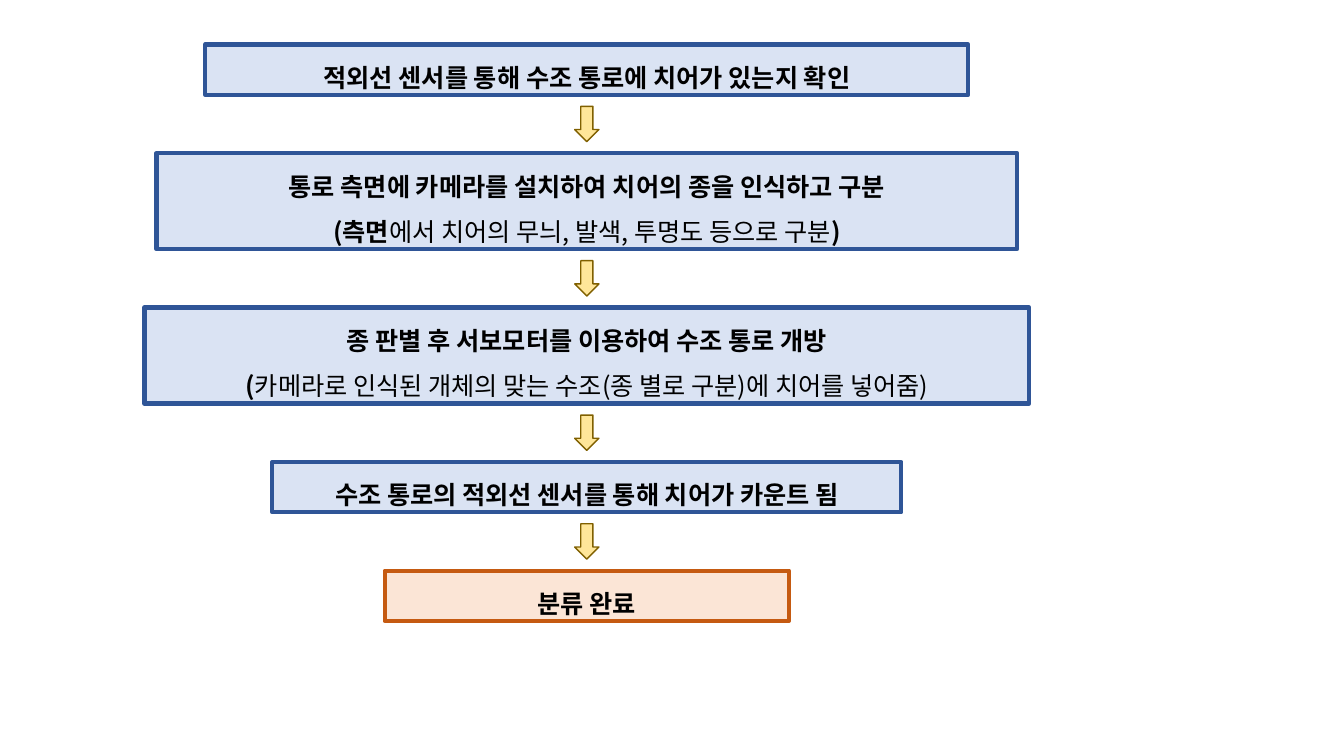
from typing import NamedTuple

from lxml import etree
from pptx import Presentation
from pptx.dml.color import RGBColor
from pptx.enum.shapes import MSO_SHAPE
from pptx.enum.text import MSO_ANCHOR, MSO_AUTO_SIZE, PP_ALIGN
from pptx.oxml.ns import qn
from pptx.util import Cm, Pt

RECT = MSO_SHAPE.RECTANGLE
ARROW = MSO_SHAPE.DOWN_ARROW
MIDDLE = MSO_ANCHOR.MIDDLE
GROW = MSO_AUTO_SIZE.SHAPE_TO_FIT_TEXT
CENTER = PP_ALIGN.CENTER

COLORS = {
    "text": "000000",
    "step": "DAE3F3", "step_line": "2F5597",
    "done": "FBE5D6", "done_line": "C55A11",
    "arrow": "FFE699", "arrow_line": "806000",
}
LATIN, KOREAN = "Arial", "Noto Sans CJK KR"

# Lengths in centimetres
AXIS, TOP, GAP = 14.79, 1.12, 1.47
HEIGHTS = {1: 1.27, 2: 2.42}
ARROW_W, ARROW_H = 0.61, 0.89


class Part(NamedTuple):
    text: str
    bold: bool = True
    font: str = KOREAN


class Step(NamedTuple):
    width: float
    title: str
    detail: tuple[Part, ...] = ()
    kind: str = "step"


STEPS = [
    Step(19.23, "적외선 센서를 통해 수조 통로에 치어가 있는지 확인"),
    Step(21.69, "통로 측면에 카메라를 설치하여 치어의 종을 인식하고 구분",
         (Part("(측면"),
          Part("에서 치어의 무늬, 발색, 투명도 등으로 구분", False),
          Part(")"))),
    Step(22.3, "종 판별 후 서보모터를 이용하여 수조 통로 개방",
         (Part("("),
          Part("카메라로 인식된 개체의 맞는 수조(종 별로 구분)에 치어를 넣어줌)",
               False))),
    Step(15.85, "수조 통로의 적외선 센서를 통해 치어가 카운트 됨"),
    Step(10.19, "분류 완료", kind="done"),
]


def add_block(slide, form, top: float, width: float, height: float,
              kind: str, line: float):
    """Add a filled shape centred on the flow axis."""
    block = slide.shapes.add_shape(
        form, Cm(AXIS - width / 2), Cm(top), Cm(width), Cm(height))
    block.shadow.inherit = False
    block.fill.solid()
    block.fill.fore_color.rgb = RGBColor.from_string(COLORS[kind])
    block.line.color.rgb = RGBColor.from_string(COLORS[kind + "_line"])
    block.line.width = Pt(line)
    return block


def add_line(para, parts: tuple[Part, ...]) -> None:
    para.alignment = CENTER
    para.line_spacing = 1.5
    for part in parts:
        run = para.add_run()
        run.text = part.text
        font = run.font
        font.name, font.size, font.bold = part.font, Pt(18), part.bold
        font.color.rgb = RGBColor.from_string(COLORS["text"])
        asian = etree.SubElement(run._r.get_or_add_rPr(), qn("a:ea"))
        asian.set("typeface", KOREAN)


def add_step(slide, step: Step, top: float, height: float) -> None:
    box = add_block(slide, RECT, top, step.width, height, step.kind, 3)
    frame = box.text_frame
    frame.word_wrap = True
    frame.auto_size = GROW
    frame.vertical_anchor = MIDDLE
    add_line(frame.paragraphs[0], (Part(step.title, font=LATIN),))
    if step.detail:
        add_line(frame.add_paragraph(), step.detail)


def main() -> None:
    deck = Presentation()
    deck.slide_width, deck.slide_height = Cm(33.87), Cm(19.05)
    slide = deck.slides.add_slide(deck.slide_layouts[6])
    top = TOP
    for index, step in enumerate(STEPS):
        if index:
            add_block(slide, ARROW, top - (GAP + ARROW_H) / 2,
                      ARROW_W, ARROW_H, "arrow", 1)
        height = HEIGHTS[2 if step.detail else 1]
        add_step(slide, step, top, height)
        top += height + GAP
    deck.save("out.pptx")


if __name__ == "__main__":
    main()
